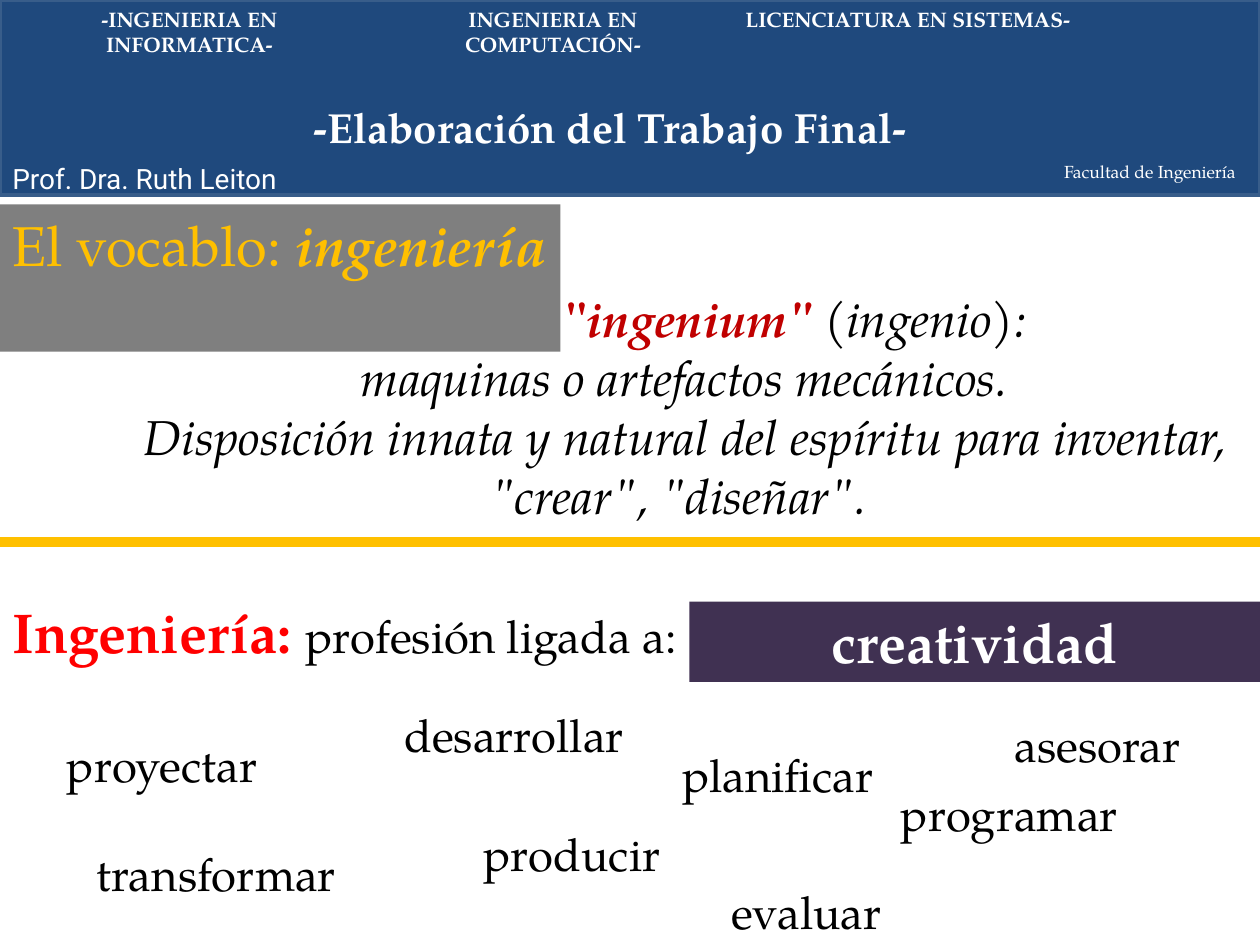
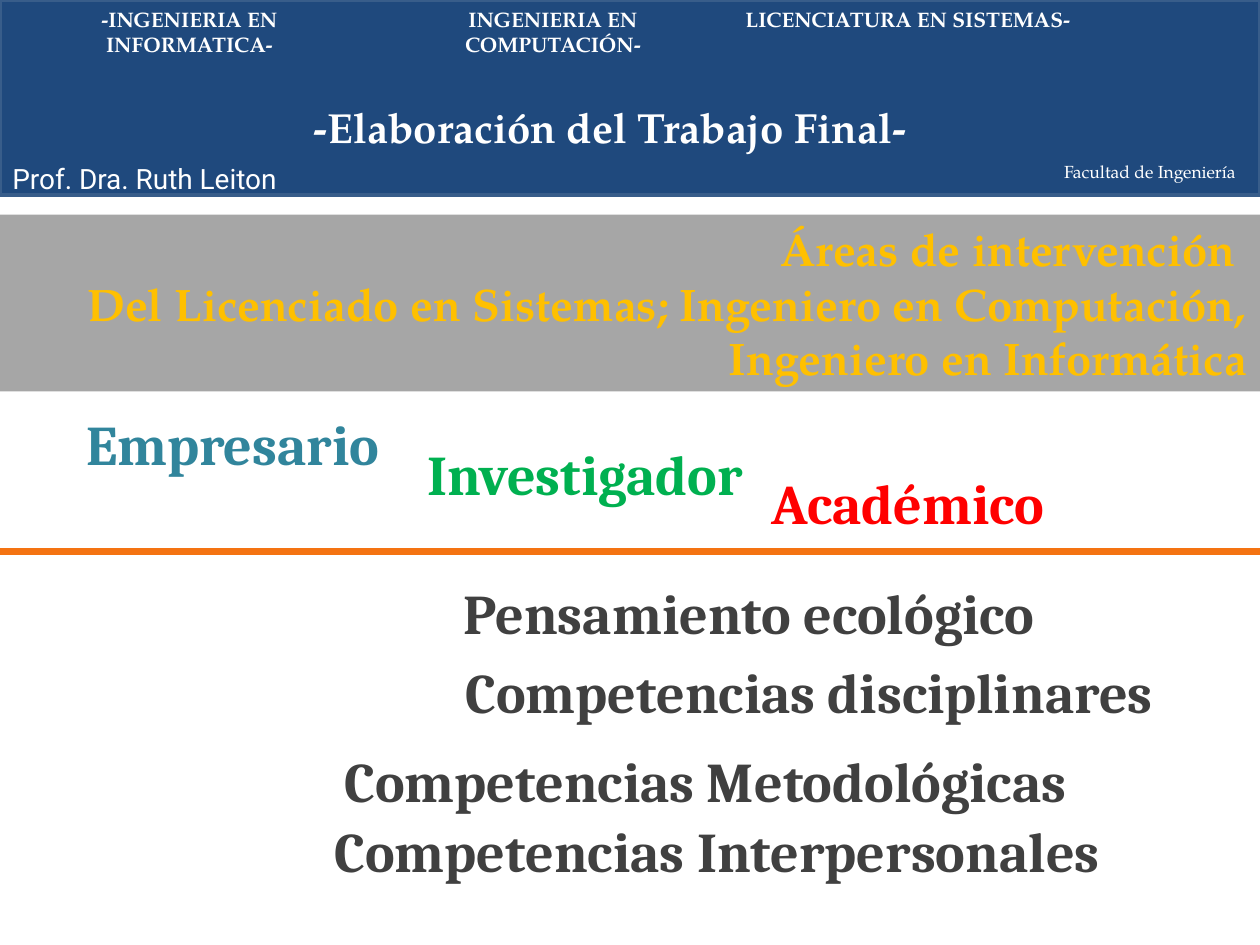
from pptx import Presentation
from pptx.dml.color import RGBColor
from pptx.enum import shapes, text
from pptx.oxml import parse_xml
from pptx.oxml.ns import nsdecls
from pptx.util import Cm, Pt

SERIF, BOOK, SANS = "TeX Gyre Pagella", "Cambria", "Roboto"
WHITE, BLACK, RED, GOLD = "FFFFFF", "000000", "FF0000", "FFC000"
WIDE = 25.4
LEFT, MID, RIGHT, FULL = (text.PP_ALIGN.LEFT, text.PP_ALIGN.CENTER,
                          text.PP_ALIGN.RIGHT, text.PP_ALIGN.JUSTIFY)


def hue(code):
    return RGBColor.from_string(code)


def box(page, place, paras, side=LEFT, font=SERIF, fill=None):
    spot = [Cm(n) for n in place]
    if fill:
        shape = page.shapes.add_shape(shapes.MSO_SHAPE.RECTANGLE, *spot)
        shape.shadow.inherit = False
        shape.fill.solid()
        shape.fill.fore_color.rgb = hue(fill)
        shape.line.fill.background()
    else:
        shape = page.shapes.add_textbox(*spot)
    frame = shape.text_frame
    frame.word_wrap = True
    frame.vertical_anchor = text.MSO_ANCHOR.TOP
    for i, runs in enumerate(paras):
        para = frame.add_paragraph() if i else frame.paragraphs[0]
        para.alignment = side
        for words, size, tint, style in runs:
            run = para.add_run()
            run.text = words
            run.font.name = font
            run.font.size = Pt(size)
            run.font.color.rgb = hue(tint)
            run.font.bold = "b" in style
            run.font.italic = "i" in style
    return shape


deck = Presentation()
deck.slide_width, deck.slide_height = Cm(WIDE), Cm(19.05)
word = deck.slides.add_slide(deck.slide_layouts[6])
area = deck.slides.add_slide(deck.slide_layouts[6])

box(word, (0, 4.12, 11.3, 2.97),
    [[("El vocablo: ", 32, GOLD, ""), ("ingeniería", 32, GOLD, "bi")]], fill="7F7F7F")
box(word, (11.18, 5.7, 12, 1.45),
    [[('"', 28, "C00000", "b"), ('ingenium" ', 28, "C00000", "bi"),
      ("(ingenio):", 28, BLACK, "i")]])
box(word, (2.2, 6.89, 23.2, 3.8),
    [[("maquinas o artefactos mecánicos.", 28, BLACK, "i")],
     [('Disposición innata y natural del espíritu para inventar, "crear", "diseñar". ',
       28, BLACK, "i")]], MID)
box(word, (0, 11.92, 14.4, 2.72),
    [[("Ingeniería: ", 32, RED, "b"), ("profesión ligada a:", 26, BLACK, "")]])
box(word, (13.9, 12.13, 11.5, 1.62), [[("creatividad", 32, WHITE, "b")]], MID, fill="403152")

verbs = [("proyectar", 1.1, 14.73), ("desarrollar", 7.9, 14.12),
         ("producir", 9.5, 16.53), ("transformar", 1.7, 16.93),
         ("planificar", 13.5, 14.94), ("evaluar", 14.5, 17.69),
         ("asesorar", 20.2, 14.33), ("programar", 17.91, 15.72)]
for verb, x, y in verbs:
    box(word, (x, y, min(6.4, WIDE - x), 1.36), [[(verb, 26, BLACK, "")]])

box(area, (0, 4.33, WIDE, 3.56),
    [[(line, 26, GOLD, "b")] for line in (
        "Áreas de intervención ",
        "Del Licenciado en Sistemas; Ingeniero en Computación, Ingeniero en Informática")],
    RIGHT, fill="A6A6A6")

GREY = "404040"
roles = [("Empresario", 0.9, 8.13, 7.59, "31859C", MID),
         ("Investigador", 7.7, 8.74, 8.2, "00B050", MID),
         ("Académico", 14.51, 9.33, 7.59, RED, MID),
         ("Pensamiento ecológico", 6.71, 11.53, 14.4, GREY, RIGHT),
         ("Competencias disciplinares", 6.5, 13.13, 17, GREY, RIGHT),
         ("Competencias Interpersonales", 6.5, 16.33, 18.9, GREY, FULL),
         ("Competencias Metodológicas", 6.7, 14.93, 17.7, GREY, FULL)]
for role, x, y, width, tint, side in roles:
    box(area, (x, y, width, 1.63), [[(role, 32, tint, "b")]], side, BOOK)

heads = [("Facultad de Ingeniería", (21.2, 3.13, 4.2, 1.12), 10, "", LEFT, SERIF),
         ("-Elaboración del Trabajo Final-", (3.9, 1.93, 16.79, 1.27), 24, "b", MID, SERIF),
         ("Prof. Dra. Ruth Leiton", (0, 3.13, 6.3, 1.63), 16, "", LEFT, SANS),
         ("-INGENIERIA EN INFORMATICA-", (1.28, 0, 5.08, 1.2), 12, "b", MID, SERIF),
         ("INGENIERIA EN COMPUTACIÓN-", (8.61, 0, 5.08, 1.2), 12, "b", MID, SERIF),
         ("LICENCIATURA EN SISTEMAS-", (14.7, 0, 7.21, 0.76), 12, "b", MID, SERIF)]
for page, y, tint, weight in ((word, 10.93, GOLD, 6), (area, 11.12, "F47312", 4)):
    band = box(page, (0, 0, WIDE, 3.93), [], fill="1F497D")
    band.line.color.rgb = hue("385D8A")
    band.line.width = Pt(2)
    for words, place, size, style, side, font in heads:
        box(page, place, [[(words, size, WHITE, style)]], side, font)
    rule = page.shapes.add_connector(shapes.MSO_CONNECTOR.STRAIGHT, 0, Cm(y), Cm(WIDE), Cm(y))
    rule.line.color.rgb = hue(tint)
    rule.line.width = Pt(weight)
    rule._element.spPr.append(parse_xml(f"<a:effectLst {nsdecls('a')}/>"))

deck.save("out.pptx")
